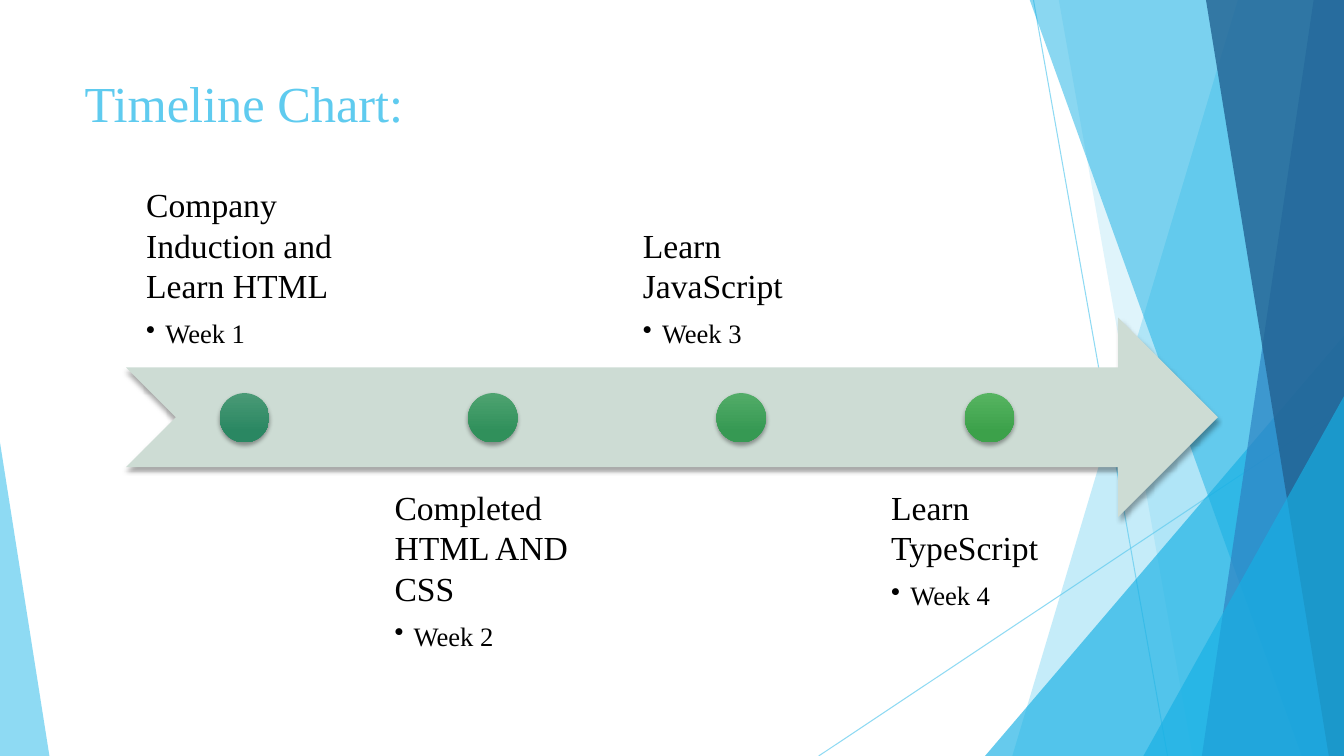
"""Build the four-week learning timeline slide."""
import lxml.etree
import pptx
import pptx.dml.color
import pptx.enum.shapes
import pptx.enum.text
import pptx.oxml.ns
import pptx.util

Inches = pptx.util.Inches
Pt = pptx.util.Pt
SHAPE = pptx.enum.shapes.MSO_SHAPE
ANCHOR = pptx.enum.text.MSO_ANCHOR
FONT = "Times New Roman"


def rgb(colour):
    """Turn a hex string into a colour."""
    return pptx.dml.color.RGBColor.from_string(colour)


def add_child(parent, tag, **attributes):
    """Append a DrawingML element and return it."""
    return lxml.etree.SubElement(parent, pptx.oxml.ns.qn(tag), attributes)


deck = pptx.Presentation()
deck.slide_width, deck.slide_height = Inches(13.33), Inches(7.5)
page = deck.slides.add_slide(deck.slide_layouts[5])
shapes = page.shapes

for start_x, start_y, end_x in [(10.25, 0, 11.58), (13.33, 4.03, 8.12)]:
    line = shapes.add_connector(
        pptx.enum.shapes.MSO_CONNECTOR.STRAIGHT,
        Inches(start_x), Inches(start_y), Inches(end_x), Inches(7.5))
    line.line.color.rgb = rgb("5FCBEF")
    line.line.width = Pt(0.75)
    colour = line.line.fill._xPr.find(".//" + pptx.oxml.ns.qn("a:srgbClr"))
    add_child(colour, "a:alpha", val="70000")
    add_child(line._element.spPr, "a:effectLst")

facets = [
    ("band", (12.28, 10.04), "5FCBEF", 36),
    ("band", (10.5, 11.83), "5FCBEF", 20),
    ("triangle", (9.77, 3.33, 3.56, 1), "17B0E4", 66),
    ("band", (10.21, 12.91), "17B0E4", 50),
    ("band", (13.03, 11.92), "2E83C3", 70),
    ("band", (11.96, 13.18), "226292", 80),
    ("triangle", (11.34, 3.93, 1.99, 1), "17B0E4", 66),
    ("triangle", (0, 4.39, 0.49, 0), "5FCBEF", 70),
]
for kind, geometry, colour, opacity in facets:
    if kind == "band":
        top_x, bottom_x = geometry
        outline = shapes.build_freeform(Inches(top_x), Inches(-0.01))
        corners = [(13.33, -0.01), (13.33, 7.5), (bottom_x, 7.5)]
        outline.add_line_segments([(Inches(x), Inches(y)) for x, y in corners])
        facet = outline.convert_to_shape()
    else:
        left, top, width, apex = geometry
        facet = shapes.add_shape(SHAPE.ISOSCELES_TRIANGLE, Inches(left),
                                 Inches(top), Inches(width), Inches(7.5 - top))
        facet.adjustments[0] = apex
    facet.fill.solid()
    facet.fill.fore_color.rgb = rgb(colour)
    solid = facet._element.spPr.find(".//" + pptx.oxml.ns.qn("a:srgbClr"))
    add_child(solid, "a:alpha", val=str(opacity * 1000))
    facet.line.fill.background()
    facet.shadow.inherit = False

title = shapes.title
title.left, title.top = Inches(0.74), Inches(0.67)
title.width, title.height = Inches(9.4), Inches(1.44)
title.text_frame.text = "Timeline Chart:"
title.text_frame.vertical_anchor = ANCHOR.TOP
heading = title.text_frame.paragraphs[0]
heading.alignment = pptx.enum.text.PP_ALIGN.LEFT
heading.font.name, heading.font.size = FONT, Pt(36)
heading.font.color.rgb = rgb("5FCBEF")

arrow = shapes.add_shape(SHAPE.NOTCHED_RIGHT_ARROW, Inches(1.25), Inches(3.15),
                         Inches(10.83), Inches(1.98))
arrow.fill.solid()
arrow.fill.fore_color.rgb = rgb("CDDCD4")
raised = [arrow]

milestones = [
    ("Company Induction and Learn HTML", "4A9A76", "2A8762"),
    ("Completed HTML AND CSS", "4EA370", "30905B"),
    ("Learn JavaScript", "52AC68", "369953"),
    ("Learn TypeScript", "56B461", "3CA14A"),
]
for index, (task, light, dark) in enumerate(milestones):
    offset = 2.463 * index
    above = index % 2 == 0
    box = shapes.add_textbox(Inches(1.26 + offset), Inches(1.67 if above else 4.64),
                             Inches(2.35), Inches(1.98))
    frame = box.text_frame
    frame.word_wrap = True
    frame.vertical_anchor = ANCHOR.BOTTOM if above else ANCHOR.TOP
    frame.margin_left = frame.margin_right = Inches(0.19)
    frame.margin_top = frame.margin_bottom = Inches(0.19)
    frame.text = f"{task}\nWeek {index + 1}"
    for para, size, gap in zip(frame.paragraphs, (24, 19), (0.35, 0.15)):
        para.font.name, para.font.size = FONT, Pt(size)
        para.font.color.rgb = rgb("000000")
        para.space_after = Pt(size * gap)
    week = frame.paragraphs[1]
    week.level = 1
    properties = week._p.get_or_add_pPr()
    properties.set("marL", str(Inches(0.19)))
    properties.set("indent", str(Inches(-0.19)))
    bullet = lxml.etree.Element(pptx.oxml.ns.qn("a:buChar"), char="•")
    properties.find(pptx.oxml.ns.qn("a:defRPr")).addprevious(bullet)

    dot = shapes.add_shape(SHAPE.OVAL, Inches(2.18 + offset), Inches(3.9),
                           Inches(0.49), Inches(0.49))
    dot.fill.gradient()
    dot.fill.gradient_angle = 270
    for stop, position, colour in zip(dot.fill.gradient_stops, (0, 0.78), (light, dark)):
        stop.position = position
        stop.color.rgb = rgb(colour)
    raised.append(dot)

for shape in raised:
    shape.line.fill.background()
    shape.shadow.inherit = False
    effects = shape._element.spPr.find(pptx.oxml.ns.qn("a:effectLst"))
    shadow = add_child(effects, "a:outerShdw", blurRad=str(Pt(3)), dist=str(Pt(2)),
                       dir="5400000", rotWithShape="0")
    add_child(add_child(shadow, "a:srgbClr", val="000000"), "a:alpha", val="35000")

deck.save("out.pptx")
